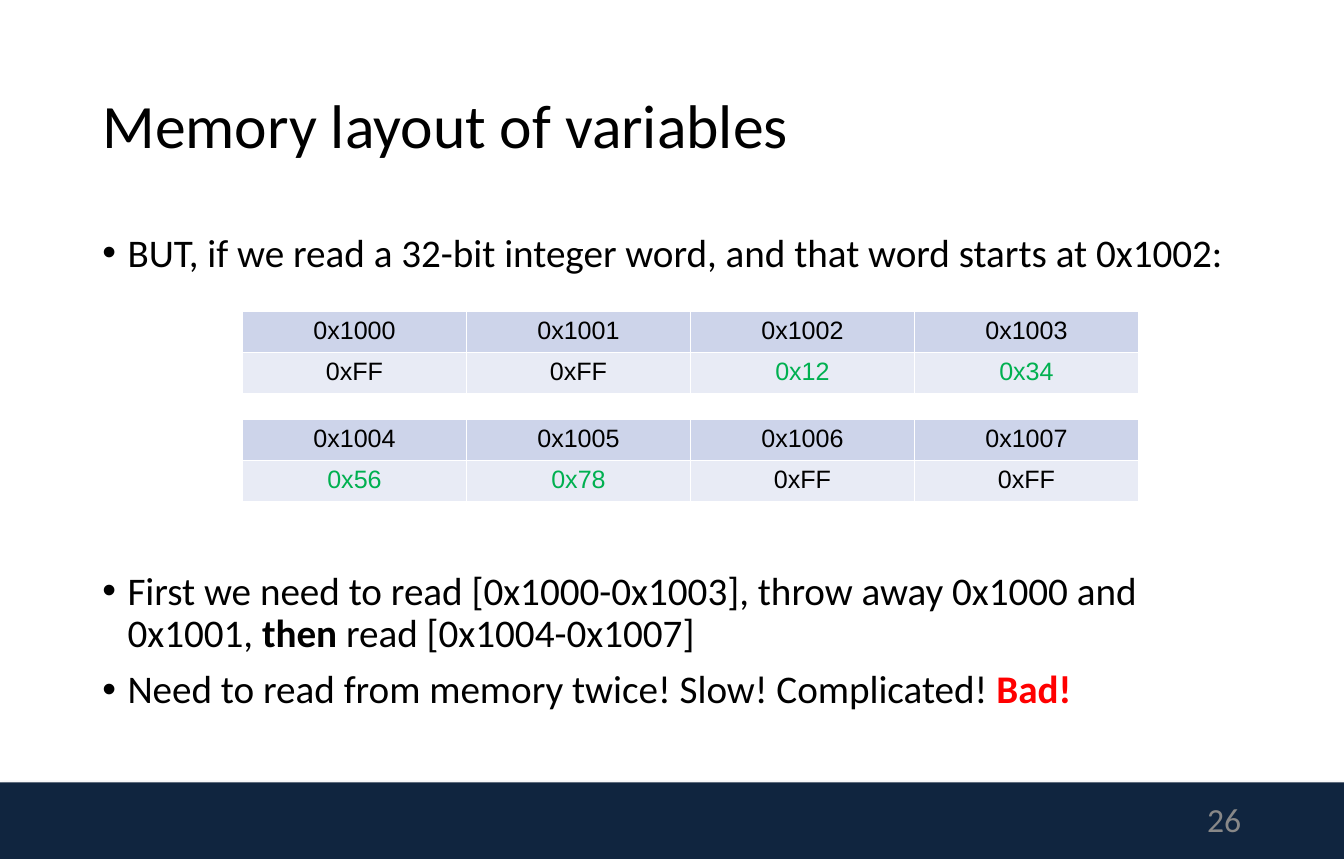
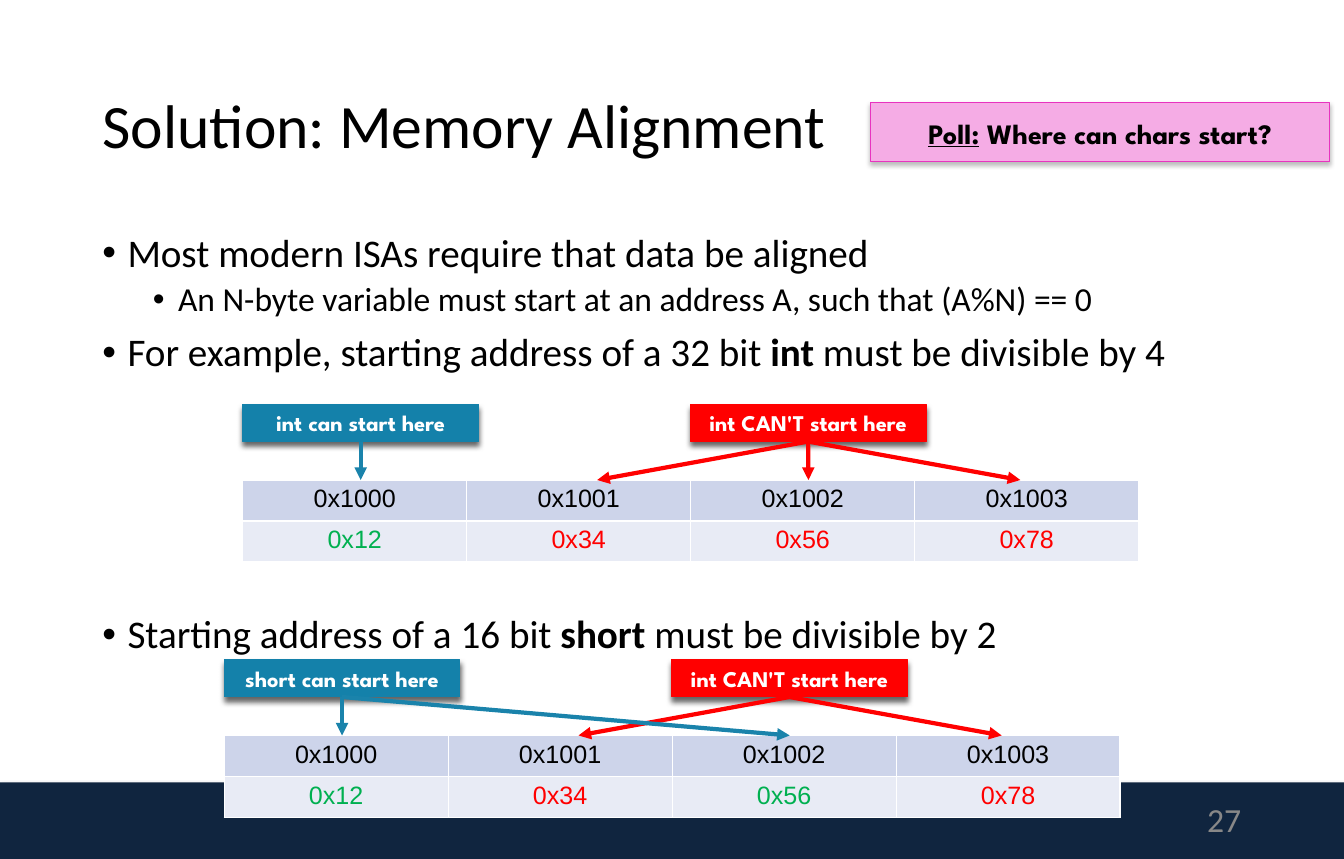
from lxml.etree import SubElement
from pptx import Presentation
from pptx.dml.color import RGBColor
from pptx.enum.shapes import MSO_CONNECTOR, MSO_SHAPE
from pptx.enum.text import MSO_ANCHOR, PP_ALIGN
from pptx.oxml.ns import qn
from pptx.util import Pt

SLIDE_W, SLIDE_H = 957.6, 612
COLORS = {
    "text": "000000", "white": "FFFFFF", "band": "10253F", "number": "888888",
    "address": "CDD4EA", "value": "E8EBF5", "good": "00B050", "bad": "FF0000",
    "can": "1481AA", "can_arrow": "1A83AB",
    "poll": "F5ACE5", "poll_edge": "E833BF", "band_shadow": "808080",
}
BODY_FONT, TABLE_FONT, LABEL_FONT = "Calibri", "Arial", "League Spartan"
TITLE_SIZE, BULLET_SIZE, SUB_BULLET_SIZE, TABLE_SIZE = 43.9, 27.9, 23.9, 17.9
CONTENT_LEFT, CONTENT_W = 65.8, 826
FRAME_SIDE = 236  # nominal table frame; columns and rows set the drawn size
COLUMN_W, ROW_H = 159.6, 29.2
LABEL_W, LABEL_H, ARROW_H = 168, 26.6, 27.4
CANT_OFFSET = 318.8
ARROW_ENDS = (84, 252.5, 403, 554)  # one for each byte, from the table's left


def rgb(name):
    return RGBColor.from_string(COLORS[name])


def box(left, top, width, height):
    return Pt(left), Pt(top), Pt(width), Pt(height)


def format_run(run, font, size, color="text", bold=False, underline=False):
    run.font.name, run.font.size = font, Pt(size)
    run.font.bold, run.font.underline = bold, underline
    run.font.color.rgb = rgb(color)


def write_runs(paragraph, parts, font, size, **shared):
    """Each part is plain text or a (text, format) pair."""
    for part in parts:
        text, extra = (part, {}) if isinstance(part, str) else part
        run = paragraph.add_run()
        run.text = text
        format_run(run, font, size, **{**shared, **extra})


def color_element(parent, name):
    return SubElement(parent, qn("a:srgbClr"), val=COLORS[name])


def add_shadow(shape, color, alpha, blur, distance):
    shape.shadow.inherit = False
    effects = shape.element.spPr.find(qn("a:effectLst"))
    shadow = SubElement(effects, qn("a:outerShdw"), blurRad=str(Pt(blur)),
                        dist=str(Pt(distance)), dir="5400000", rotWithShape="0")
    SubElement(color_element(shadow, color), qn("a:alpha"), val=str(alpha * 1000))


def add_block(slide, bounds, fill, edge, shadow):
    block = slide.shapes.add_shape(MSO_SHAPE.RECTANGLE, *box(*bounds))
    block.fill.solid()
    block.fill.fore_color.rgb = rgb(fill)
    if edge:
        block.line.color.rgb = rgb(edge)
        block.line.width = Pt(0.75)
    else:
        block.line.fill.background()
    add_shadow(block, *shadow)
    return block


def add_caption(block, parts, size, color):
    block.text_frame.vertical_anchor = MSO_ANCHOR.TOP
    block.text_frame.word_wrap = True
    paragraph = block.text_frame.paragraphs[0]
    paragraph.alignment = PP_ALIGN.CENTER
    write_runs(paragraph, parts, LABEL_FONT, size, color=color, bold=True)
    return paragraph


def start_slide(prs, heading, number):
    slide = prs.slides.add_slide(prs.slide_layouts[5])
    # Footer band
    add_block(slide, (0, 557.5, SLIDE_W, SLIDE_H - 557.5), "band", None,
              ("band_shadow", 35, 3.1, 1.8))
    # Title
    title = slide.shapes.title
    title.left, title.top, title.width, title.height = box(CONTENT_LEFT, 32.4, CONTENT_W, 118)
    title.text_frame.text = heading
    title.text_frame.vertical_anchor = MSO_ANCHOR.MIDDLE
    paragraph = title.text_frame.paragraphs[0]
    paragraph.alignment, paragraph.line_spacing = PP_ALIGN.LEFT, 0.9
    format_run(paragraph.runs[0], BODY_FONT, TITLE_SIZE)
    # Slide number
    page = slide.shapes.add_textbox(*box(676, 567.4, 215.5, 32.4)).text_frame
    page.word_wrap, page.vertical_anchor = True, MSO_ANCHOR.MIDDLE
    page.text = str(number)
    page.paragraphs[0].alignment = PP_ALIGN.RIGHT
    format_run(page.paragraphs[0].runs[0], BODY_FONT, 24, "number")
    return slide


def add_bullets(slide, bullets):
    """Each bullet is (level, space before, parts)."""
    frame = slide.shapes.add_textbox(*box(CONTENT_LEFT, 162.9, CONTENT_W, 388)).text_frame
    frame.word_wrap = True
    for index, (level, gap, parts) in enumerate(bullets):
        paragraph = frame.add_paragraph() if index else frame.paragraphs[0]
        paragraph.level = level
        paragraph.line_spacing, paragraph.space_before = 0.9, Pt(gap)
        write_runs(paragraph, parts, BODY_FONT, SUB_BULLET_SIZE if level else BULLET_SIZE)
        props = paragraph._p.get_or_add_pPr()
        props.set("marL", str(Pt(18 + 36 * level)))
        props.set("indent", str(Pt(-18)))
        color_element(SubElement(props, qn("a:buClr")), "text")
        SubElement(props, qn("a:buFont"), typeface="Arial")
        SubElement(props, qn("a:buChar"), char="•")


def add_borders(cell):
    props = cell._tc.get_or_add_tcPr()
    for side in ("lnL", "lnR", "lnT", "lnB"):
        line = SubElement(props, qn(f"a:{side}"), w=str(Pt(1)))
        color_element(SubElement(line, qn("a:solidFill")), "white")


def add_memory(slide, left, top, first_address, values):
    """Addresses above, bytes below; values are (text, colour) pairs."""
    count = len(values)
    frame = slide.shapes.add_table(
        2, count, *box(left, top, count * COLUMN_W, 2 * ROW_H))
    table = frame.table
    table.first_row = table.horz_banding = False
    for row in table.rows:
        row.height = Pt(ROW_H)
    frame.width = frame.height = Pt(FRAME_SIDE)
    addresses = [(f"0x{first_address + i:04X}", "text") for i in range(count)]
    for r, (fill, entries) in enumerate((("address", addresses), ("value", values))):
        for c, (text, color) in enumerate(entries):
            cell = table.cell(r, c)
            add_borders(cell)
            cell.fill.solid()
            cell.fill.fore_color.rgb = rgb(fill)
            cell.text_frame.text = text
            paragraph = cell.text_frame.paragraphs[0]
            paragraph.alignment = PP_ALIGN.CENTER
            format_run(paragraph.runs[0], TABLE_FONT, TABLE_SIZE, color)


def add_arrow(slide, label, end_x, end_y, color):
    start_x = label.left + label.width // 2
    arrow = slide.shapes.add_connector(
        MSO_CONNECTOR.STRAIGHT, start_x, label.top + label.height, Pt(end_x), Pt(end_y))
    arrow.begin_connect(label, 2)
    arrow.line.color.rgb = rgb(color)
    arrow.line.width = Pt(3)
    SubElement(arrow.line._get_or_add_ln(), qn("a:tailEnd"), type="triangle")
    SubElement(arrow.element.spPr, qn("a:effectLst"))


def add_alignment_example(slide, left, top, can_text, allowed):
    """Labels over a four-byte table, with arrows to allowed and forbidden starts."""
    table_top = top + LABEL_H + ARROW_H
    values = [(text, "good" if i in allowed else "bad")
              for i, text in enumerate(("0x12", "0x34", "0x56", "0x78"))]
    add_memory(slide, left, table_top, 0x1000, values)
    forbidden = [i for i in range(len(values)) if i not in allowed]
    for offset, text, fill, arrow_color, targets in (
            (CANT_OFFSET, "int CAN'T start here", "bad", "bad", forbidden),
            (0, can_text, "can", "can_arrow", allowed)):
        label = add_block(slide, (left + offset, top, LABEL_W, LABEL_H), fill, fill,
                          ("text", 60, 4, 3))
        add_caption(label, [text], 16, "white")
        for target in targets:
            add_arrow(slide, label, left + ARROW_ENDS[target], table_top, arrow_color)


def add_poll(slide):
    poll = add_block(slide, (620.4, 72.9, 327, 42.3), "poll", "poll_edge", ("text", 25, 3, 2))
    frame = poll.text_frame
    frame.margin_left = frame.margin_right = Pt(8.6)
    frame.margin_top = frame.margin_bottom = Pt(4.3)
    paragraph = add_caption(
        poll, [("Poll:", {"underline": True}), " Where can chars start?"], 20, "text")
    paragraph.line_spacing = 1.25


def build_layout_slide(prs):
    slide = start_slide(prs, "Memory layout of variables", 26)
    add_bullets(slide, [
        (0, 0, ["BUT, if we read a 32-bit integer word, and that word starts at 0x1002:"]),
        (0, 210.6, ["First we need to read [0x1000-0x1003], throw away 0x1000 and 0x1001, ",
                    ("then", {"bold": True}), " read [0x1004-0x1007]"]),
        (0, 10, ["Need to read from memory twice! Slow! Complicated! ",
                 ("Bad!", {"bold": True, "color": "bad"})]),
    ])
    unused = ("0xFF", "text")
    add_memory(slide, 172.8, 222, 0x1000, [unused, unused, ("0x12", "good"), ("0x34", "good")])
    add_memory(slide, 172.8, 299, 0x1004, [("0x56", "good"), ("0x78", "good"), unused, unused])


def build_alignment_slide(prs):
    slide = start_slide(prs, "Solution: Memory Alignment", 27)
    add_bullets(slide, [
        (0, 0, ["Most modern ISAs require that data be aligned"]),
        (1, 5, ["An N-byte variable must start at an address A, such that (A%N) == 0"]),
        (0, 10, ["For example, starting address of a 32 bit ",
                 ("int", {"bold": True}), " must be divisible by 4"]),
        (0, 170.6, ["Starting address of a 16 bit ",
                    ("short", {"bold": True}), " must be divisible by 2"]),
    ])
    add_alignment_example(slide, 173, 288, "int can start here", [0])
    add_alignment_example(slide, 159.7, 470, "short can start here", [0, 2])
    add_poll(slide)


def main():
    prs = Presentation()
    prs.slide_width, prs.slide_height = Pt(SLIDE_W), Pt(SLIDE_H)
    build_layout_slide(prs)
    build_alignment_slide(prs)
    prs.save("out.pptx")


if __name__ == "__main__":
    main()
